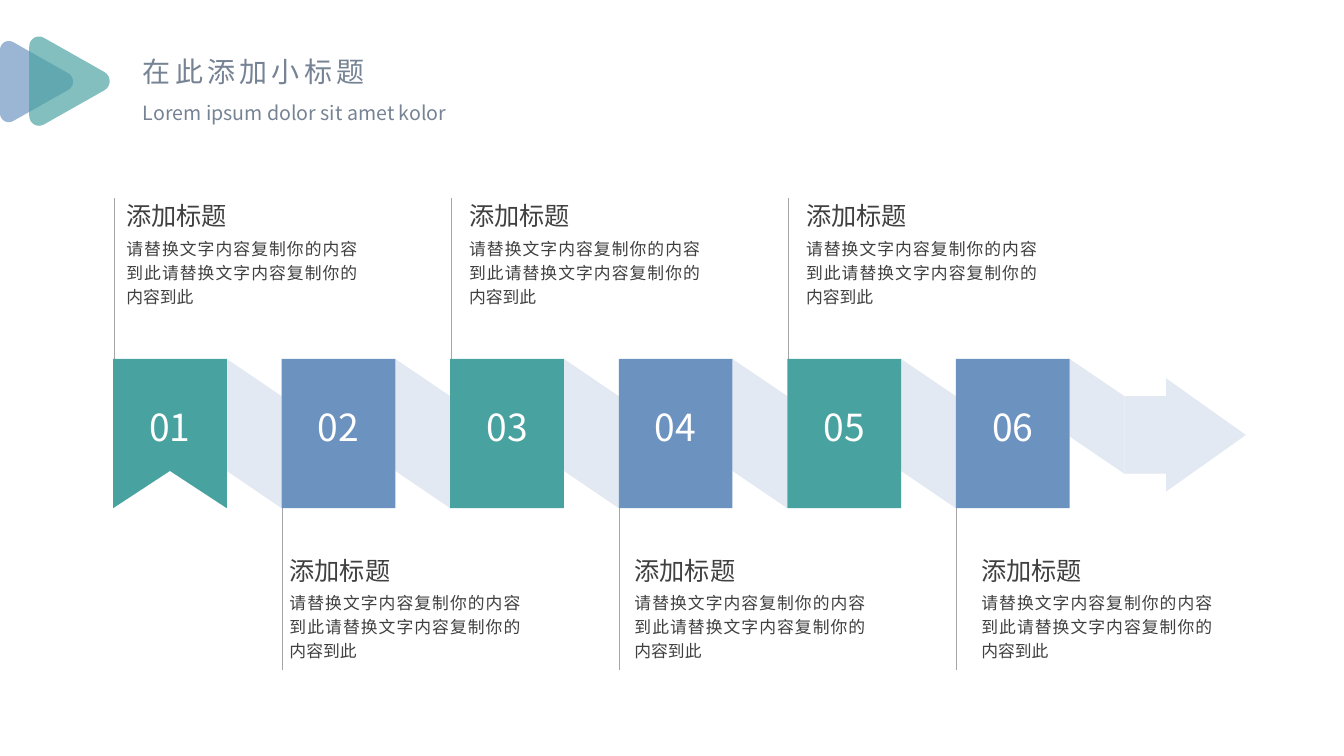
from dataclasses import dataclass

from lxml.etree import SubElement
from pptx import Presentation
from pptx.dml.color import RGBColor
from pptx.enum.shapes import MSO_CONNECTOR, MSO_SHAPE
from pptx.enum.text import MSO_ANCHOR, MSO_AUTO_SIZE, PP_ALIGN
from pptx.oxml.ns import qn
from pptx.util import Pt


@dataclass(frozen=True)
class Theme:
    font: str = "Noto Sans CJK SC"
    teal: str = "48A2A0"
    blue: str = "6C92C0"
    pale: str = "E2E9F2"
    rule: str = "A6A6A6"
    slate: str = "768394"
    dark: str = "404040"
    white: str = "FFFFFF"
    title: float = 20
    lead: float = 14
    head: float = 18
    body: float = 12
    digit: float = 26.6


def curve(a, b, c, d, steps=10):
    """Return points along the cubic curve from a to d."""
    def at(t):
        u = 1 - t
        return tuple(u**3 * p + 3 * u * u * t * q + 3 * u * t * t * r + t**3 * s
                     for p, q, r, s in zip(a, b, c, d))
    return [at(i / steps) for i in range(steps + 1)]


class Deck:
    def __init__(self, theme):
        self.theme = theme
        self.prs = Presentation()
        self.prs.slide_width, self.prs.slide_height = Pt(960), Pt(540)
        self.slide = self.prs.slides.add_slide(self.prs.slide_layouts[6])
        self.shapes = self.slide.shapes

    def paint(self, shape, color, alpha=None):
        shape.shadow.inherit = False
        shape.fill.solid()
        shape.fill.fore_color.rgb = RGBColor.from_string(color)
        shape.line.fill.background()
        if alpha:
            tint = shape.fill._xPr.find(f".//{qn('a:srgbClr')}")
            SubElement(tint, qn("a:alpha")).set("val", str(alpha * 1000))
        return shape

    def rect(self, x, y, w, h, color):
        shape = self.shapes.add_shape(MSO_SHAPE.RECTANGLE, Pt(x), Pt(y), Pt(w), Pt(h))
        return self.paint(shape, color)

    def poly(self, points, color, alpha=None):
        first, *rest = [(Pt(x), Pt(y)) for x, y in points]
        path = self.shapes.build_freeform(*first)
        path.add_line_segments(rest, close=True)
        return self.paint(path.convert_to_shape(), color, alpha)

    def line(self, x, y, end):
        link = self.shapes.add_connector(
            MSO_CONNECTOR.STRAIGHT, Pt(x), Pt(y), Pt(x), Pt(end))
        link.line.color.rgb = RGBColor.from_string(self.theme.rule)
        link.line.width = Pt(0.5)
        SubElement(link._element.spPr, qn("a:effectLst"))

    def run(self, para, text, size, color, gap=0):
        run = para.add_run()
        run.text = text
        run.font.size = Pt(size)
        run.font.name = self.theme.font
        run.font.color.rgb = RGBColor.from_string(color)
        props = run._r.get_or_add_rPr()
        SubElement(props, qn("a:ea")).set("typeface", self.theme.font)
        if gap:
            props.set("spc", str(gap * 100))

    def label(self, x, y, w, h, text, size, gap=0):
        frame = self.shapes.add_textbox(Pt(x), Pt(y), Pt(w), Pt(h)).text_frame
        frame.word_wrap = False
        frame.auto_size = MSO_AUTO_SIZE.SHAPE_TO_FIT_TEXT
        self.run(frame.paragraphs[0], text, size, self.theme.slate, gap)

    def number(self, shape, text):
        frame = shape.text_frame
        frame.vertical_anchor = MSO_ANCHOR.MIDDLE
        frame.margin_bottom = Pt(13)
        para = frame.paragraphs[0]
        para.alignment = PP_ALIGN.CENTER
        self.run(para, text, self.theme.digit, self.theme.white)

    def note(self, x, y, head, body):
        frame = self.shapes.add_textbox(Pt(x), Pt(y), Pt(184.3), Pt(98)).text_frame
        frame.word_wrap = True
        frame.margin_left = frame.margin_right = Pt(9.6)
        frame.margin_top = frame.margin_bottom = Pt(4.8)
        top, low = frame.paragraphs[0], frame.add_paragraph()
        low.space_before = Pt(2.4)
        for para, text, size in ((top, head, self.theme.head),
                                 (low, body, self.theme.body)):
            para.alignment = PP_ALIGN.JUSTIFY
            para.line_spacing = 1.2
            self.run(para, text, size, self.theme.dark)

    def play(self, x, mid, scale, color):
        """Draw a translucent rounded triangle that points right."""
        outline = (curve((0, 22.3), (0, 27.5), (5, 30.5), (9.4, 28.2))
                   + curve((49, 5.8), (53.3, 3), (53.3, -3), (49, -5.8))
                   + curve((9.4, -28.2), (5, -30.5), (0, -27.5), (0, -22.3)))
        points = [(x + scale * px, mid + scale * py) for px, py in outline]
        self.poly(points, color, 68)


def main():
    theme = Theme()
    deck = Deck(theme)
    deck.label(95, 35.3, 177, 31.7, "在此添加小标题", theme.title, 3)
    deck.label(95, 68.4, 232.6, 24.5, "Lorem ipsum dolor sit amet kolor", theme.lead)
    deck.play(0, 58.3, 1, theme.blue)
    deck.play(20.9, 58, 1.1, theme.teal)

    left, top, wide, tall, step = 80.8, 256.4, 81.2, 106.6, 120.4
    base, drop, reach, shaft = top + tall, 26.6, 115.6, 55.4
    lefts = [left + step * i for i in range(6)]

    for i, x in enumerate(lefts):
        if i % 2:
            deck.line(x + 0.2, base, base + reach)
        else:
            deck.line(x + 0.6, top - reach + 0.8, top)

    for x in lefts:
        start, end = x + wide, x + step
        depth = shaft if x == lefts[-1] else tall - drop
        deck.poly([(start, top), (end, top + drop), (end, top + drop + depth),
                   (start, top + depth)], theme.pale)

    tail, neck, tip = left + step * 6, 833, 889.9
    axis = top + drop + shaft / 2
    deck.poly([(tail, axis - shaft / 2), (neck, axis - shaft / 2), (neck, axis - 40.4),
               (tip, axis), (neck, axis + 40.4), (neck, axis + shaft / 2),
               (tail, axis + shaft / 2)], theme.pale)

    for i, x in enumerate(lefts):
        if i == 0:
            block = deck.poly([(x, top), (x + wide, top), (x + wide, base),
                               (x + wide / 2, base - drop), (x, base)], theme.teal)
        else:
            block = deck.rect(x, top, wide, tall, theme.blue if i % 2 else theme.teal)
        deck.number(block, f"{i + 1:02}")

    body = "请替换文字内容复制你的内容到此" * 2
    for i, x in enumerate((80.7, 197.2, 325.5, 443.6, 566.2, 691.4)):
        deck.note(x, 387.2 if i % 2 else 134.2, "添加标题", body)

    deck.prs.save("out.pptx")


if __name__ == "__main__":
    main()
